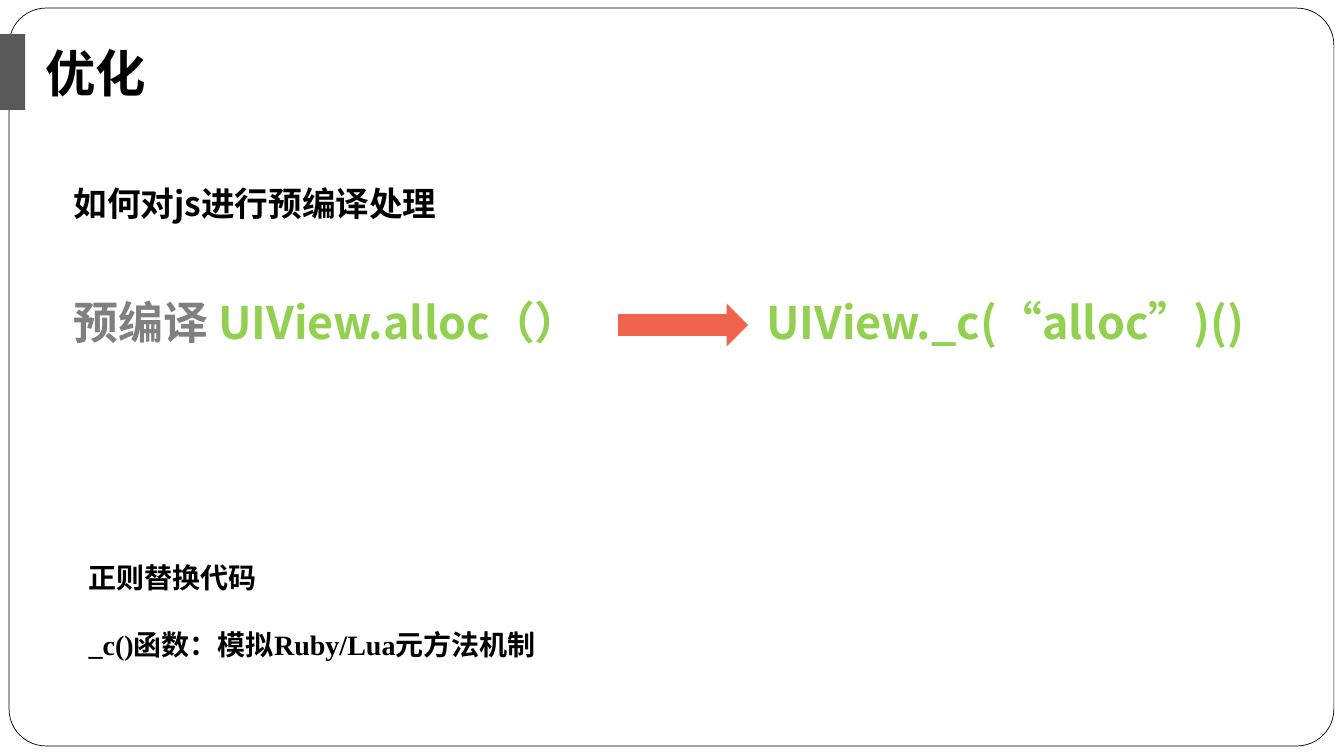
from dataclasses import dataclass

from lxml.etree import SubElement
from pptx import Presentation
from pptx.dml.color import RGBColor
from pptx.enum.lang import MSO_LANGUAGE_ID
from pptx.enum.shapes import MSO_SHAPE
from pptx.oxml.ns import qn
from pptx.slide import Slide
from pptx.util import Emu, Inches, Pt

COLOURS = {
    "white": "FFFFFF",
    "black": "000000",
    "marker": "595959",
    "label": "808080",
    "code": "92D050",
    "arrow": "F0644D",
}
SANS = "Noto Sans CJK SC"
SERIF = "Times New Roman"
WIDTH, HEIGHT = Inches(13.33), Inches(7.5)


@dataclass(frozen=True)
class Area:
    left: float
    top: float
    width: float
    height: float

    def lengths(self) -> tuple[Emu, Emu, Emu, Emu]:
        return (across(self.left), down(self.top),
                across(self.width), down(self.height))


@dataclass(frozen=True)
class Block:
    area: Area
    kind: MSO_SHAPE
    fill: str
    line: str | None = None
    corner: float | None = None


@dataclass(frozen=True)
class Span:
    text: str
    colour: str = "black"


@dataclass(frozen=True)
class Caption:
    area: Area
    paragraphs: list[list[Span]]
    size: int
    font: str = SANS
    wrap: bool = True
    gap: int = 0
    tab: float | None = None


def across(percent: float) -> Emu:
    return Emu(round(WIDTH * percent / 100))


def down(percent: float) -> Emu:
    return Emu(round(HEIGHT * percent / 100))


def colour_of(name: str) -> RGBColor:
    return RGBColor.from_string(COLOURS[name])


BLOCKS = [
    Block(Area(0.68, 1.07, 98.57, 97.6), MSO_SHAPE.ROUNDED_RECTANGLE,
          "white", line="black", corner=0.05),
    Block(Area(0, 4.53, 1.88, 10), MSO_SHAPE.RECTANGLE, "marker"),
    Block(Area(45.99, 40.13, 9.68, 5.73), MSO_SHAPE.RIGHT_ARROW, "arrow"),
]

CAPTIONS = [
    Caption(Area(2.63, 4.93, 9.08, 9.47), [[Span("优化")]], 36, wrap=False),
    Caption(Area(4.73, 23.47, 28.8, 6.67),
            [[Span("如何对js进行预编译处理")]], 24),
    Caption(Area(4.73, 38.27, 95.27, 8.53),
            [[Span("预编译 ", "label"),
              Span("UIView.alloc（）\tUIView._c(“alloc”)()", "code")]],
            32, tab=51.54),
    Caption(Area(5.85, 73.47, 52.06, 14.8),
            [[Span("正则替换代码")],
             [Span("_c()函数：模拟Ruby/Lua元方法机制")]],
            20, font=SERIF, gap=24),
]


def draw_block(slide: Slide, block: Block) -> None:
    shape = slide.shapes.add_shape(block.kind, *block.area.lengths())
    shape.shadow.inherit = False
    shape.fill.solid()
    shape.fill.fore_color.rgb = colour_of(block.fill)
    if block.line:
        shape.line.color.rgb = colour_of(block.line)
        shape.line.width = Pt(0.5)
    else:
        shape.line.fill.background()
    if block.corner is not None:
        shape.adjustments[0] = block.corner


def add_text(paragraph, text: str, *, size: int, font: str, colour: str) -> None:
    run = paragraph.add_run()
    run.text = text
    run.font.size = Pt(size)
    run.font.bold = True
    run.font.name = font
    run.font.color.rgb = colour_of(colour)
    run.font.language_id = MSO_LANGUAGE_ID.SIMPLIFIED_CHINESE
    SubElement(run.font._element, qn("a:ea"), typeface=SANS)


def add_tab_stop(paragraph, position: Emu) -> None:
    stops = SubElement(paragraph._p.get_or_add_pPr(), qn("a:tabLst"))
    SubElement(stops, qn("a:tab"), pos=str(position), algn="l")


def draw_caption(slide: Slide, caption: Caption) -> None:
    frame = slide.shapes.add_textbox(*caption.area.lengths()).text_frame
    frame.word_wrap = caption.wrap
    for index, spans in enumerate(caption.paragraphs):
        paragraph = frame.add_paragraph() if index else frame.paragraphs[0]
        if index:
            paragraph.space_before = Pt(caption.gap)
        if caption.tab is not None:
            add_tab_stop(paragraph, across(caption.tab))
        for span in spans:
            add_text(paragraph, span.text, size=caption.size,
                     font=caption.font, colour=span.colour)


def main() -> None:
    presentation = Presentation()
    presentation.slide_width, presentation.slide_height = WIDTH, HEIGHT
    slide = presentation.slides.add_slide(presentation.slide_layouts[6])
    for block in BLOCKS:
        draw_block(slide, block)
    for caption in CAPTIONS:
        draw_caption(slide, caption)
    presentation.save("out.pptx")


if __name__ == "__main__":
    main()
